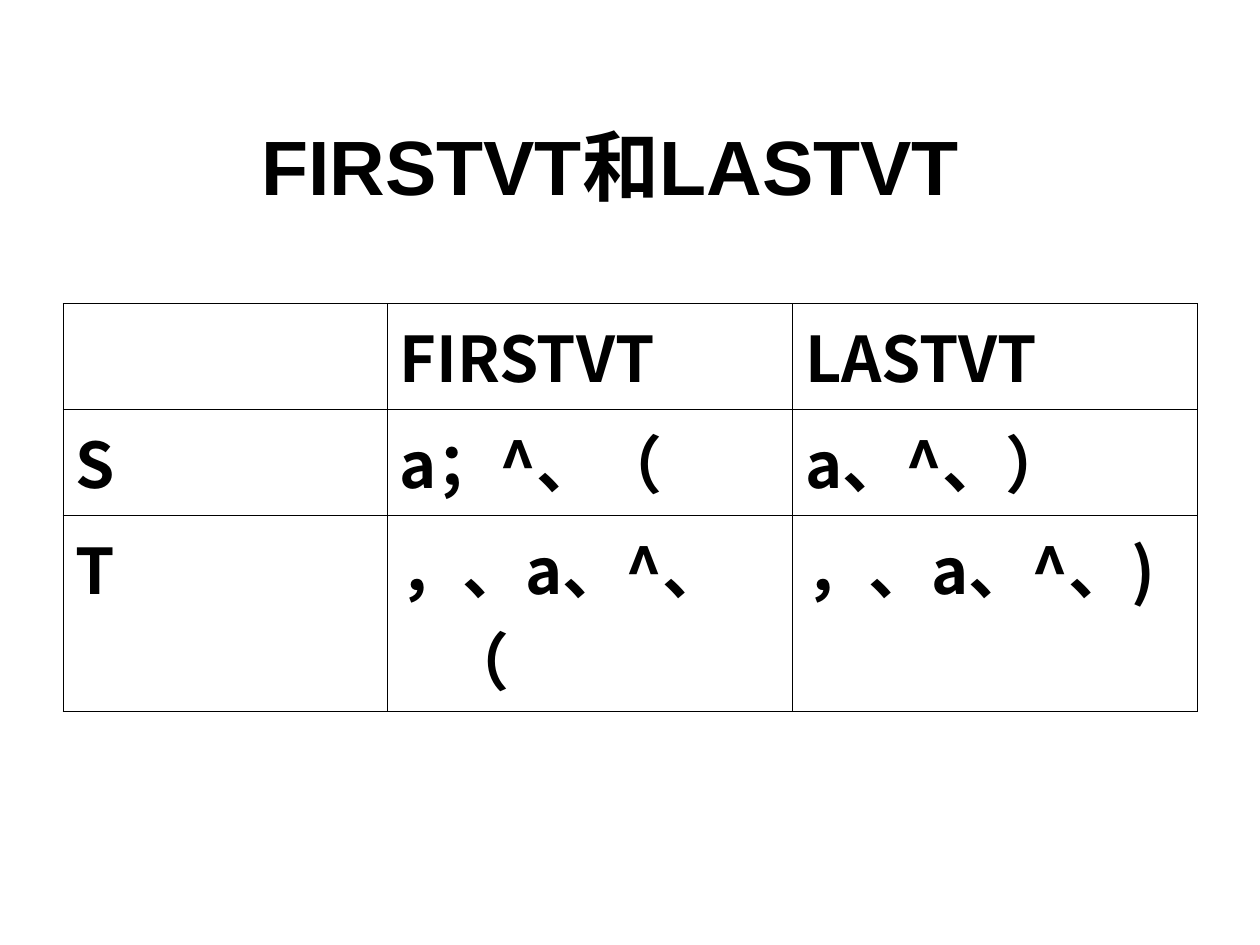
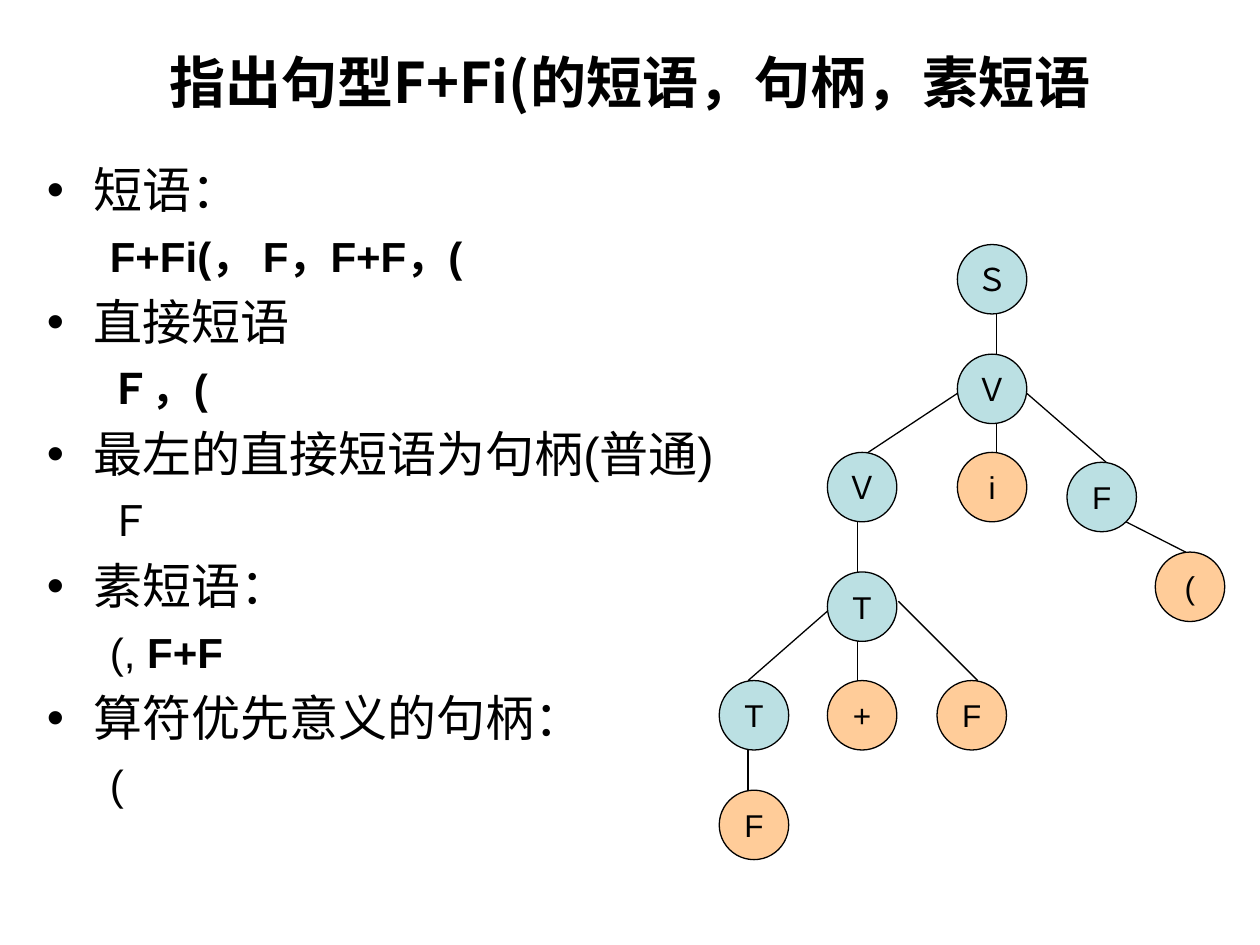
import lxml.etree
import pptx
import pptx.dml.color
import pptx.enum.shapes
import pptx.enum.text
import pptx.oxml.ns
import pptx.util

Cm = pptx.util.Cm
Pt = pptx.util.Pt
RGBColor = pptx.dml.color.RGBColor
qn = pptx.oxml.ns.qn

BLACK = RGBColor(0x00, 0x00, 0x00)
WHITE = RGBColor(0xFF, 0xFF, 0xFF)
TEAL = RGBColor(0xBB, 0xE0, 0xE3)
PEACH = RGBColor(0xFF, 0xCC, 0x99)
ARIAL = "Arial"
NOTO = "Noto Sans CJK SC"

VT_COLUMNS = (6.53, 8.18, 8.15)
VT_ROWS = (2.13, 2.13, 3.96)
VT_SETS = (
    ("", "FIRSTVT", "LASTVT"),
    ("S", "a；^、（", "a、^、）"),
    ("T", "，、a、^、（", "，、a、^、)"),
)

PHRASES = (
    ("短语：", (("F+Fi(， F，F+F，(", True),)),
    ("直接短语", (("Ｆ，(", True),)),
    ("最左的直接短语为句柄(普通)", (("Ｆ", False),)),
    ("素短语：", (("(, ", False), ("F+F", True))),
    ("算符优先意义的句柄：", (("(", False),)),
)

NODE_SIZE = 1.4
NODES = (
    ("Ｓ", 4.8, 0, TEAL),
    ("Ｖ", 4.8, 2.21, TEAL),
    ("i", 4.8, 4.19, PEACH),
    ("Ｖ", 2.18, 4.19, TEAL),
    ("F", 7.01, 4.39, TEAL),
    ("(", 8.79, 6.2, PEACH),
    ("T", 2.18, 6.6, TEAL),
    ("F", 4.39, 8.79, PEACH),
    ("T", 0, 8.79, TEAL),
    ("+", 2.18, 8.79, PEACH),
    ("F", 0, 11, PEACH),
)
BRANCHES = (
    (5.59, 1.4, 5.59, 2.21),
    (5.59, 3.61, 5.59, 4.19),
    (4.8, 3, 3, 4.19),
    (6.2, 3, 7.8, 4.39),
    (8.2, 5.59, 9.4, 6.2),
    (2.79, 5.59, 2.79, 6.6),
    (2.79, 8, 2.79, 8.79),
    (2.18, 7.39, 0.58, 8.79),
    (3.61, 7.19, 5.21, 8.79),
    (0.58, 10.19, 0.58, 11),
)


def format_run(r, size, name=ARIAL, bold=False):
    """Give a run its size, weight, colour and fonts."""
    r.font.size = Pt(size)
    r.font.bold = bold
    r.font.color.rgb = BLACK
    r.font.name = name
    lxml.etree.SubElement(r.font._element, qn("a:ea"), typeface=NOTO)


def set_indent(p, left, hanging):
    """Set a paragraph's left margin and hanging indent."""
    pPr = p._p.get_or_add_pPr()
    pPr.set("marL", str(Cm(left)))
    pPr.set("indent", str(-Cm(hanging)))
    return pPr


def place(sp, box):
    """Move and size a shape to a box given in centimetres."""
    sp.left, sp.top, sp.width, sp.height = (Cm(v) for v in box)


def add_title(slide, text, box, size, name):
    """Fill the title placeholder with bold centred text."""
    sp = slide.shapes.title
    place(sp, box)
    tf = sp.text_frame
    tf.text = text
    tf.auto_size = pptx.enum.text.MSO_AUTO_SIZE.NONE
    tf.vertical_anchor = pptx.enum.text.MSO_ANCHOR.MIDDLE
    p = tf.paragraphs[0]
    p.alignment = pptx.enum.text.PP_ALIGN.CENTER
    format_run(p.runs[0], size, name, True)


def set_borders(cell):
    """Draw thin black lines on the four sides of a cell."""
    tcPr = cell._tc.get_or_add_tcPr()
    for i, side in enumerate(("lnL", "lnR", "lnT", "lnB")):
        ln = lxml.etree.Element(qn(f"a:{side}"), w=str(Pt(0.45)))
        fill = lxml.etree.SubElement(ln, qn("a:solidFill"))
        lxml.etree.SubElement(fill, qn("a:srgbClr"), val=str(BLACK))
        tcPr.insert(i, ln)


def add_vt_table(slide, box):
    """Add the table of FIRSTVT and LASTVT sets."""
    frame = slide.shapes.add_table(len(VT_ROWS), len(VT_COLUMNS), *(Cm(v) for v in box))
    table = frame.table
    table.first_row = table.horz_banding = False
    for column, width in zip(table.columns, VT_COLUMNS):
        column.width = Cm(width)
    for row, height, texts in zip(table.rows, VT_ROWS, VT_SETS):
        row.height = Cm(height)
        for cell, text in zip(row.cells, texts):
            cell.fill.solid()
            cell.fill.fore_color.rgb = WHITE
            set_borders(cell)
            cell.text_frame.text = text
            p = cell.text_frame.paragraphs[0]
            set_indent(p, 0.95, 0.95)
            for r in p.runs:
                format_run(r, 36, NOTO, True)


def add_phrase_list(slide, box):
    """Fill the body placeholder with each kind of phrase and its answer."""
    sp = slide.placeholders[1]
    place(sp, box)
    tf = sp.text_frame
    tf.auto_size = pptx.enum.text.MSO_AUTO_SIZE.NONE
    for i, (kind, answer) in enumerate(PHRASES):
        p = tf.add_paragraph() if i else tf.paragraphs[0]
        pPr = set_indent(p, 0.95, 0.95)
        lxml.etree.SubElement(pPr, qn("a:buChar"), char="•")
        p.text = kind
        p.line_spacing = Pt(33)
        p.space_before = Pt(7 if i else 0)
        format_run(p.runs[0], 28)

        p = tf.add_paragraph()
        p.level = 1
        pPr = set_indent(p, 2.06, 0.79)
        lxml.etree.SubElement(pPr, qn("a:buNone"))
        p.line_spacing = Pt(29.4)
        p.space_before = Pt(6)
        for text, bold in answer:
            r = p.add_run()
            r.text = text
            format_run(r, 24, bold=bold)


def add_node(slide, text, left, top, color):
    """Add one round node of the syntax tree."""
    sp = slide.shapes.add_shape(
        pptx.enum.shapes.MSO_SHAPE.OVAL, Cm(left), Cm(top), Cm(NODE_SIZE), Cm(NODE_SIZE))
    sp.shadow.inherit = False
    sp.fill.solid()
    sp.fill.fore_color.rgb = color
    sp.line.color.rgb = BLACK
    sp.line.width = Pt(0.75)
    tf = sp.text_frame
    tf.text = text
    tf.word_wrap = False
    tf.vertical_anchor = pptx.enum.text.MSO_ANCHOR.MIDDLE
    p = tf.paragraphs[0]
    p.alignment = pptx.enum.text.PP_ALIGN.CENTER
    format_run(p.runs[0], 18)


def add_syntax_tree(slide, left, top):
    """Add the nodes and branches of the syntax tree."""
    for text, x, y, color in NODES:
        add_node(slide, text, left + x, top + y, color)
    for x1, y1, x2, y2 in BRANCHES:
        line = slide.shapes.add_connector(
            pptx.enum.shapes.MSO_CONNECTOR.STRAIGHT,
            Cm(left + x1), Cm(top + y1), Cm(left + x2), Cm(top + y2))
        line.line.color.rgb = BLACK
        line.line.width = Pt(0.75)
        lxml.etree.SubElement(line._element.spPr, qn("a:effectLst"))


def build_vt_slide(prs):
    """Build the slide with the FIRSTVT and LASTVT table."""
    slide = prs.slides.add_slide(prs.slide_layouts[5])
    add_title(slide, "FIRSTVT和LASTVT ", (1.09, 1.73, 22.86, 3.18), 44, ARIAL)
    add_vt_table(slide, (1.27, 6.12, 22.86, 8.22))


def build_phrase_slide(prs):
    """Build the slide with the phrases and the syntax tree."""
    slide = prs.slides.add_slide(prs.slide_layouts[1])
    add_title(slide, "指出句型F+Fi(的短语，句柄，素短语", (1.27, 0.76, 22.86, 1.75), 32, NOTO)
    add_phrase_list(slide, (0.69, 3.12, 14.4, 14.4))
    add_syntax_tree(slide, 14.5, 4.93)


def main():
    """Build and save the presentation."""
    prs = pptx.Presentation()
    prs.slide_width, prs.slide_height = Cm(25.4), Cm(19.05)
    build_vt_slide(prs)
    build_phrase_slide(prs)
    prs.save("out.pptx")


if __name__ == "__main__":
    main()
